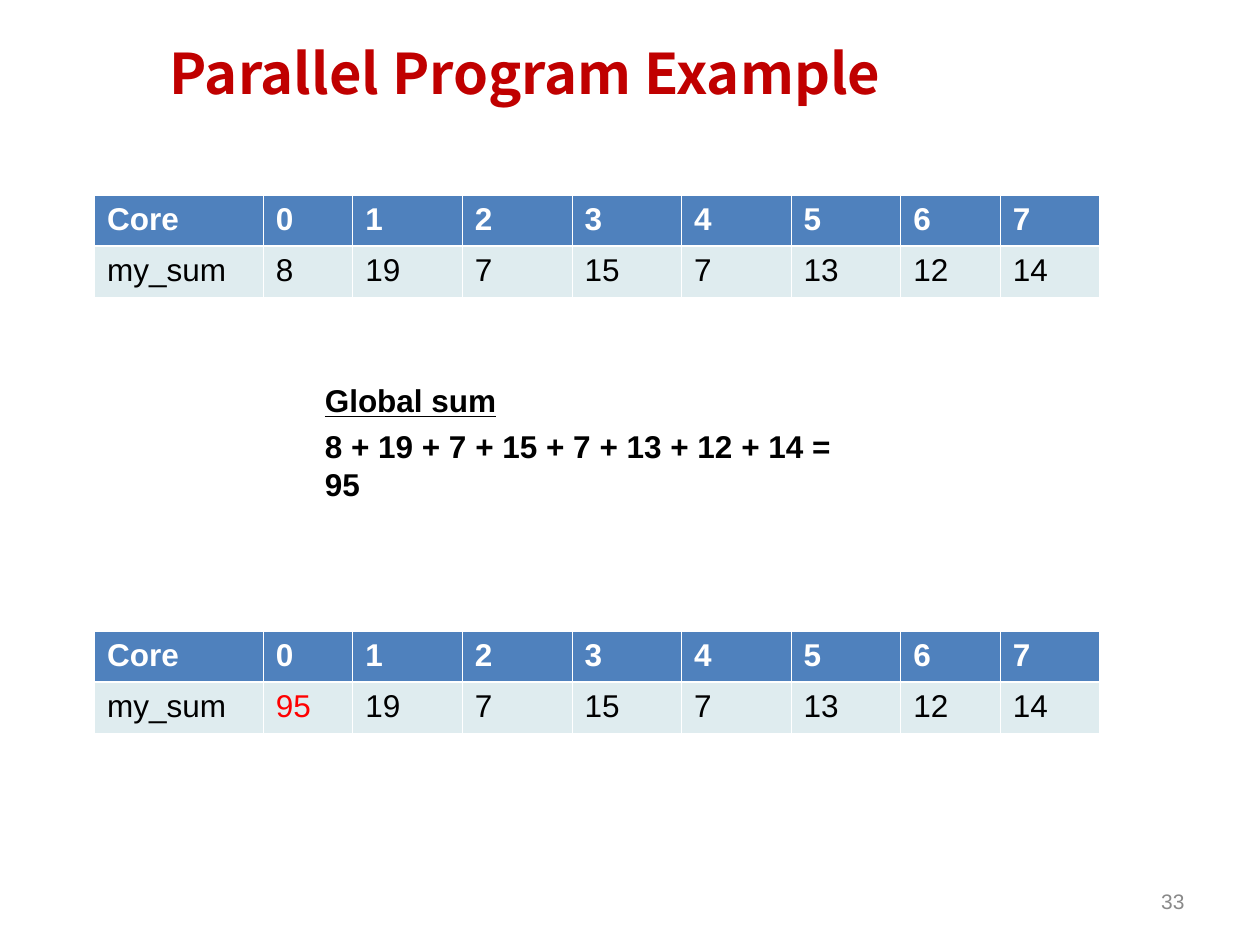
from lxml import etree
from pptx import Presentation, util as u
from pptx.dml import color
from pptx.enum import text
from pptx.oxml import ns

WIDTH, HEIGHT = u.Inches(10), u.Inches(7.5)
WHITE, BLACK, RED = "FFFFFF", "000000", "FF0000"
HEADER_FILL, BODY_FILL = "4F81BD", "DFECEF"
COLUMN_WIDTHS = [1.34, 0.71] + [0.87] * 5 + [0.79] * 2
ROW_HEIGHT = 0.405
THIN, THICK = 0.45, 1.47


def style(paragraph, size, hex_color, bold=False, font="Arial"):
    for run in paragraph.runs:
        run.font.size = u.Pt(size)
        run.font.name = font
        run.font.bold = bold
        run.font.color.rgb = color.RGBColor.from_string(hex_color)


def add_border(cell, side, points):
    """Draw a white line on one side (L, R, T or B) of a table cell."""
    properties = cell._tc.get_or_add_tcPr()
    line = etree.SubElement(properties, ns.qn(f"a:ln{side}"), w=str(u.Pt(points)))
    fill = etree.SubElement(line, ns.qn("a:solidFill"))
    etree.SubElement(fill, ns.qn("a:srgbClr"), val=WHITE)


presentation = Presentation()
presentation.slide_width, presentation.slide_height = WIDTH, HEIGHT
slide = presentation.slides.add_slide(presentation.slide_layouts[6])

# Title
title = slide.shapes.add_textbox(
    int(WIDTH * 0.125), 0, int(WIDTH * 0.856), int(HEIGHT * 0.152))
title.text_frame.word_wrap = True
title.text_frame.vertical_anchor = text.MSO_ANCHOR.MIDDLE
title.text_frame.text = "Parallel Program Example"
style(title.text_frame.paragraphs[0], 32, "C00000", True, "Noto Sans CJK KR")

# Sums per core, before and after core 0 receives the global sum
core_sums = [8, 19, 7, 15, 7, 13, 12, 14]
total = sum(core_sums)
header = ["Core", *range(len(core_sums))]
for top, sums in ((1.55, core_sums), (5.01, [total] + core_sums[1:])):
    rows = [header, ["my_sum", *sums]]
    frame = slide.shapes.add_table(
        len(rows), len(header), u.Inches(0.75), u.Inches(top),
        u.Inches(sum(COLUMN_WIDTHS)), u.Inches(ROW_HEIGHT * len(rows)))
    table = frame.table
    for column, width in zip(table.columns, COLUMN_WIDTHS):
        column.width = u.Inches(width)
    for r, values in enumerate(rows):
        table.rows[r].height = u.Inches(ROW_HEIGHT)
        is_header = r == 0
        for c, value in enumerate(values):
            cell = table.cell(r, c)
            cell.text = str(value)
            text_color = WHITE if is_header else RED if value == total else BLACK
            style(cell.text_frame.paragraphs[0], 18, text_color, is_header)
            for side in "LRTB":
                between_rows = side == ("B" if is_header else "T")
                add_border(cell, side, THICK if between_rows else THIN)
            cell.fill.solid()
            cell.fill.fore_color.rgb = color.RGBColor.from_string(
                HEADER_FILL if is_header else BODY_FILL)

# Global sum
formula = slide.shapes.add_textbox(
    int(WIDTH * 0.248), int(HEIGHT * 0.397), int(WIDTH * 0.456), int(HEIGHT * 0.1))
formula.text_frame.word_wrap = False
heading = formula.text_frame.paragraphs[0]
heading.text = "Global sum"
equation = formula.text_frame.add_paragraph()
equation.text = " + ".join(map(str, core_sums)) + f" = {total}"
equation.space_before = u.Pt(4.5)
for paragraph in (heading, equation):
    style(paragraph, 18, BLACK, True)
heading.runs[0].font.underline = True

# Slide number
number = slide.shapes.add_textbox(
    int(WIDTH * 0.717), int(HEIGHT * 0.927), int(WIDTH * 0.233), int(HEIGHT * 0.053))
number.text_frame.word_wrap = True
number.text_frame.vertical_anchor = text.MSO_ANCHOR.MIDDLE
number.text_frame.text = "33"
number.text_frame.paragraphs[0].alignment = text.PP_ALIGN.RIGHT
style(number.text_frame.paragraphs[0], 12, "898989")

presentation.save("out.pptx")
